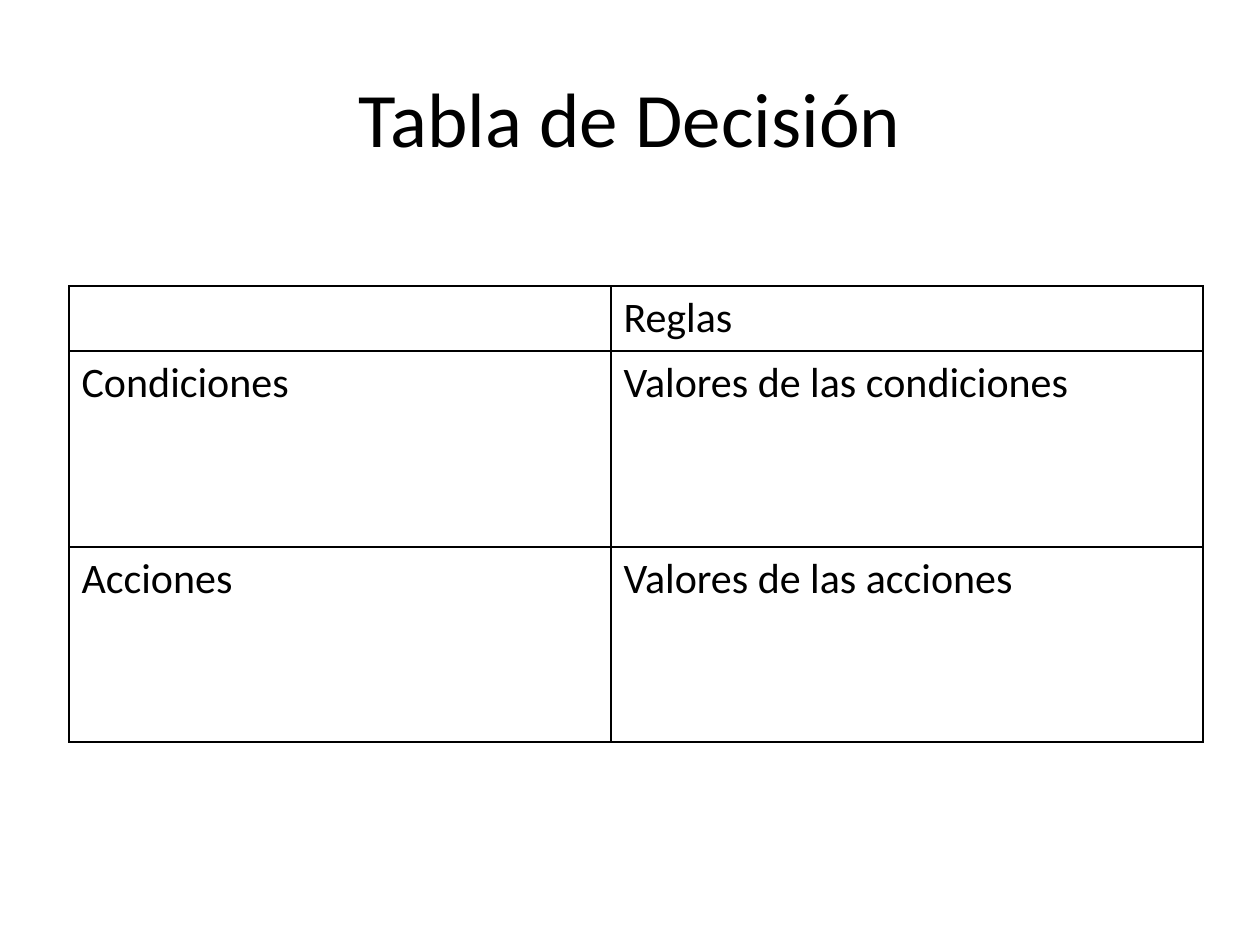
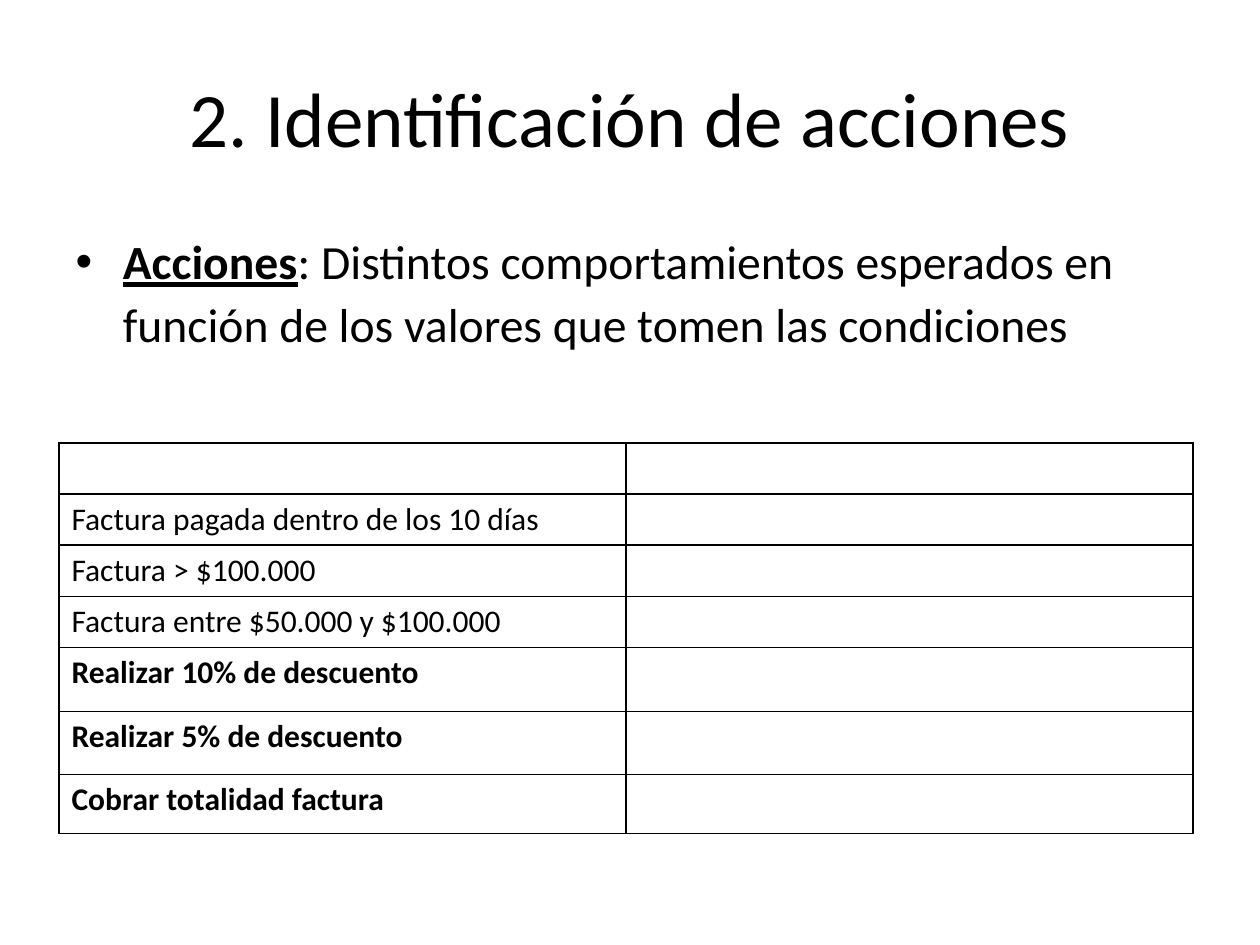
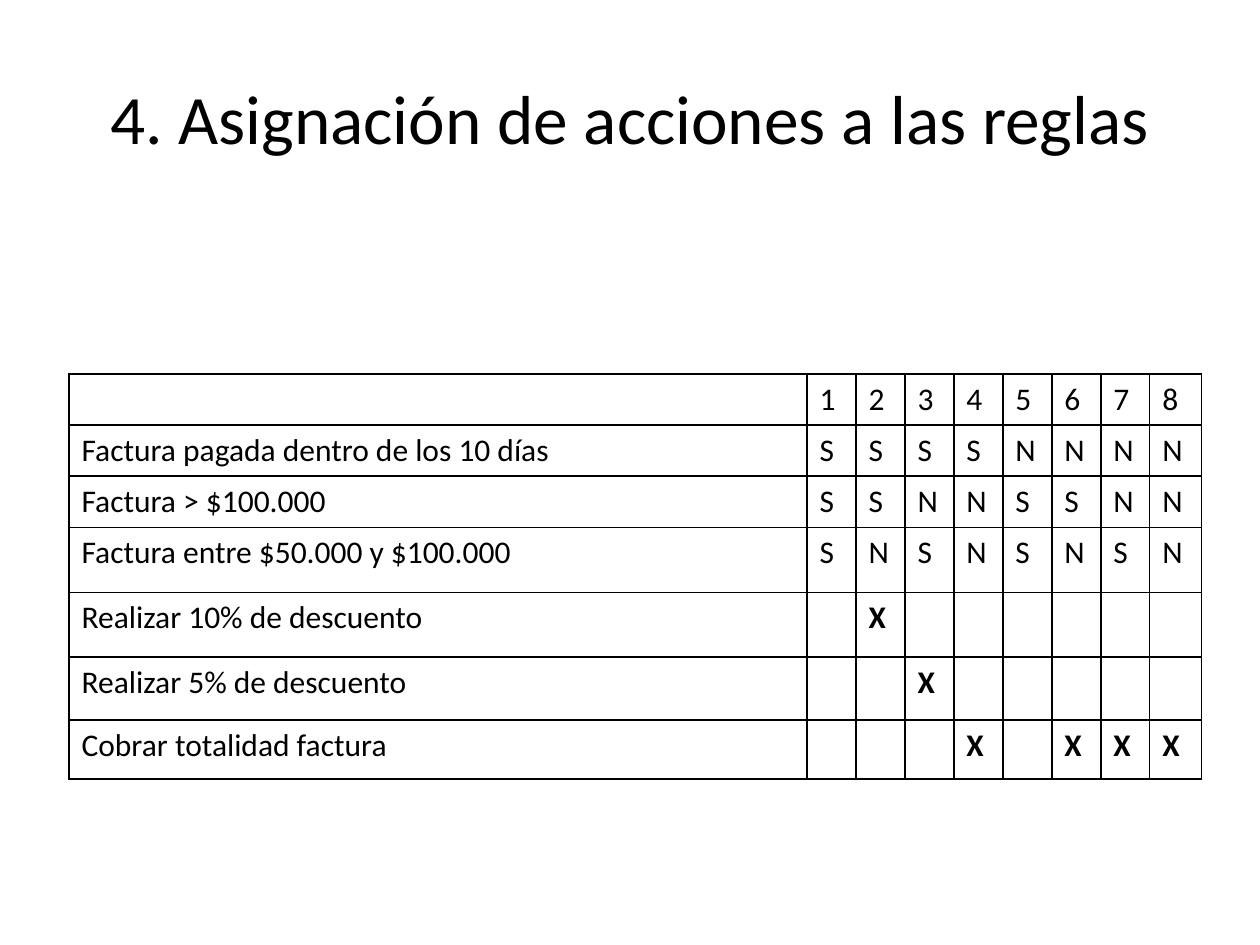
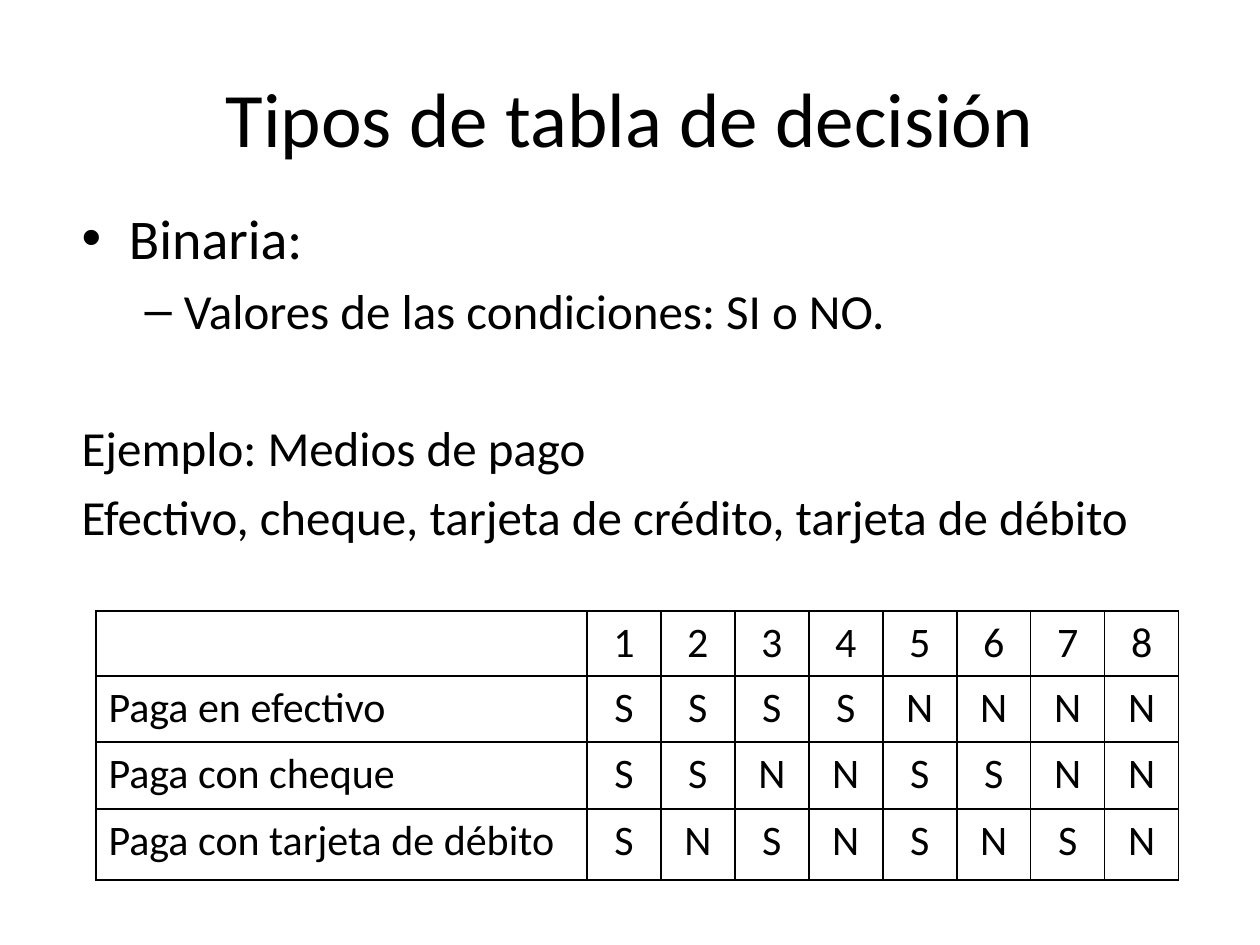
from itertools import product

from lxml import etree
from pptx import Presentation
from pptx.dml.color import RGBColor
from pptx.enum.text import MSO_ANCHOR, MSO_AUTO_SIZE, PP_ALIGN
from pptx.oxml.ns import qn
from pptx.util import Emu, Pt

# Shared look
BLACK = RGBColor(0x00, 0x00, 0x00)
FONT = "Calibri"
LEFT, CENTER = PP_ALIGN.LEFT, PP_ALIGN.CENTER
TOP, MIDDLE = MSO_ANCHOR.TOP, MSO_ANCHOR.MIDDLE
NO_FIT = MSO_AUTO_SIZE.NONE
PX = 914400 / 126
BORDER = Pt(1)
TITLE_BOX = (63, 38, 1134, 158)
TITLE_AND_BODY, TITLE_ONLY = 1, 5

# Slide heads: title, title size, layout, body box
HEADS = [
    ("Tabla de Decisión", 44, TITLE_ONLY, None),
    ("2. Identificación de acciones", 44, TITLE_AND_BODY, (63, 220, 1109, 173)),
    ("4. Asignación de acciones a las reglas", 39.6, TITLE_ONLY, None),
    ("Tipos de tabla de decisión", 44, TITLE_AND_BODY, (69, 197, 1134, 384)),
]

# Decision rules: every combination of three yes/no conditions
RULE_NUMBERS = [str(n) for n in range(1, 9)]
RULE_VALUES = list(zip(*product("SN", repeat=3)))
INVOICE_CONDITIONS = [
    "Factura pagada dentro de los 10 días",
    "Factura > $100.000",
    "Factura entre $50.000 y $100.000",
]
# Each action with the rules that trigger it
ACTIONS = {
    "Realizar 10% de descuento": "2",
    "Realizar 5% de descuento": "3",
    "Cobrar totalidad factura": "4678",
}
PAYMENTS = ["Paga en efectivo", "Paga con cheque", "Paga con tarjeta de débito"]


def style(paragraph, size, bold=None, align=None):
    paragraph.font.name = FONT
    paragraph.font.size = Pt(size)
    paragraph.font.color.rgb = BLACK
    paragraph.font.bold = bold
    paragraph.alignment = align


def add_grid(slide, left, top, widths, heights, rows, size, bold_cells=(), rule_align=LEFT):
    box = [Emu(round(v * PX)) for v in (left, top, sum(widths), sum(heights))]
    table = slide.shapes.add_table(len(heights), len(widths), *box).table
    table.first_row = table.horz_banding = False
    for column, width in zip(table.columns, widths):
        column.width = Emu(round(width * PX))
    for row, height in zip(table.rows, heights):
        row.height = Emu(round(height * PX))
    for r, texts in enumerate(rows):
        for c, text in enumerate(texts):
            cell = table.cell(r, c)
            cell.text = text
            style(cell.text_frame.paragraphs[0], size, text in bold_cells,
                  rule_align if c else LEFT)
            properties = cell._tc.get_or_add_tcPr()
            for side in ("a:lnL", "a:lnR", "a:lnT", "a:lnB"):
                line = etree.SubElement(properties, qn(side), w=str(BORDER))
                fill = etree.SubElement(line, qn("a:solidFill"))
                etree.SubElement(fill, qn("a:srgbClr"), val=str(BLACK))
            cell.fill.background()


deck = Presentation()
deck.slide_width = Emu(round(1260 * PX))
deck.slide_height = Emu(round(945 * PX))

# Titles and body boxes
slides = []
for title_text, title_size, layout, body_box in HEADS:
    slide = deck.slides.add_slide(deck.slide_layouts[layout])
    slides.append(slide)
    title = slide.shapes.title
    title.text_frame.text = title_text
    style(title.text_frame.paragraphs[0], title_size, align=CENTER)
    placed = [(title, TITLE_BOX, MIDDLE)]
    if body_box:
        placed.append((slide.placeholders[1], body_box, TOP))
    for holder, box, anchor in placed:
        holder.left, holder.top, holder.width, holder.height = [Emu(round(v * PX)) for v in box]
        holder.text_frame.vertical_anchor = anchor
        holder.text_frame.auto_size = NO_FIT
        holder.text_frame.word_wrap = True
overview, actions, assignment, types = slides

# Slide 1: parts of a decision table
add_grid(overview, 69, 286, [542, 592], [65, 196, 195], [
    ["", "Reglas"],
    ["Condiciones", "Valores de las condiciones"],
    ["Acciones", "Valores de las acciones"],
], 24)

# Slide 2: definition of actions
definition = actions.placeholders[1].text_frame.paragraphs[0]
style(definition, 27.2)
definition.line_spacing = 1.1
term = definition.add_run()
term.text = "Acciones"
term.font.bold = term.font.underline = True
definition.add_run().text = (": Distintos comportamientos esperados en función "
                             "de los valores que tomen las condiciones")
labels = ["", *INVOICE_CONDITIONS, *ACTIONS]
add_grid(actions, 59, 443, [567, 567], [51] * 4 + [64, 63, 59],
         [[label, ""] for label in labels], 18, bold_cells=ACTIONS)

# Slide 3: actions assigned to the rules
condition_rows = [[name, *values] for name, values in zip(INVOICE_CONDITIONS, RULE_VALUES)]
action_rows = [[name] + ["X" if n in rules else "" for n in RULE_NUMBERS]
               for name, rules in ACTIONS.items()]
add_grid(assignment, 69, 374, [738] + [49] * 7 + [52], [51] * 3 + [65, 65, 63, 59],
         [["", *RULE_NUMBERS], *condition_rows, *action_rows], 18, bold_cells="X")

# Slide 4: binary table and its example
binary = types.placeholders[1].text_frame
lines = [
    ("Binaria:", 0, 32),
    ("Valores de las condiciones: SI o NO.", 1, 28),
    ("Ejemplo: Medios de pago", 1, 28),
    ("Efectivo, cheque, tarjeta de crédito, tarjeta de débito", 1, 28),
]
binary.text = "\n".join(text for text, _, _ in lines)
for paragraph, (_, level, size) in zip(binary.paragraphs, lines):
    paragraph.level = level
    style(paragraph, size)
example = binary.paragraphs[2:]
example[0].space_before = Pt(45)
for paragraph in example:
    properties = paragraph._p.get_or_add_pPr()
    properties.set("marL", "0")
    properties.set("indent", "0")
    bullet_off = etree.Element(qn("a:buNone"))
    properties.find(qn("a:defRPr")).addprevious(bullet_off)
add_grid(types, 96, 611, [491] + [74] * 8, [65, 66, 67, 71],
         [["", *RULE_NUMBERS], *([name, *values] for name, values in zip(PAYMENTS, RULE_VALUES))],
         24, rule_align=CENTER)

deck.save("out.pptx")
